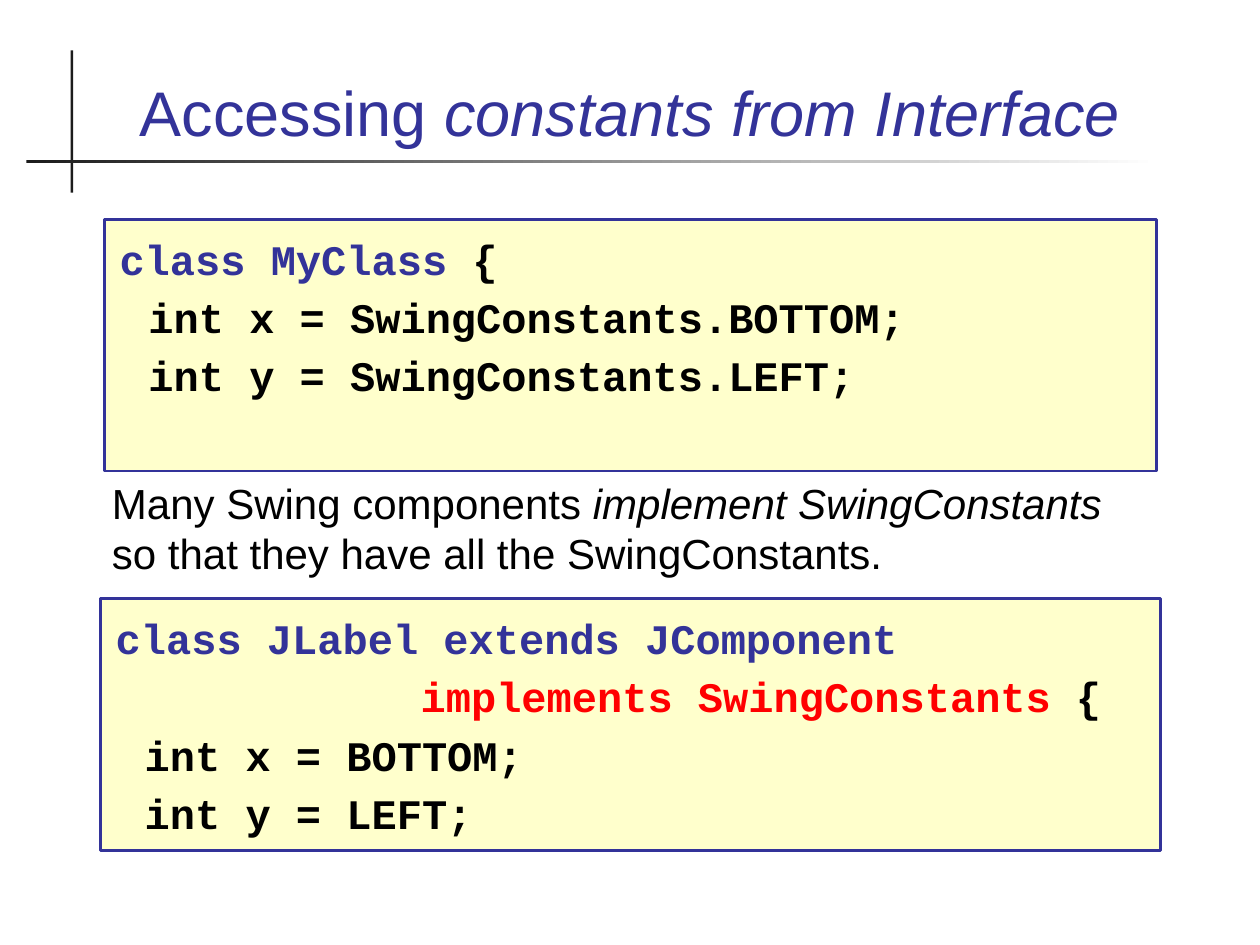
from pptx import Presentation
from pptx.dml.color import RGBColor
from pptx.enum.shapes import MSO_SHAPE as Shape
from pptx.enum.text import MSO_ANCHOR as Anchor, PP_ALIGN as Align
from pptx.util import Inches, Pt

COLORS = {
    "navy": "333399",
    "cream": "FFFFCC",
    "rule": "1C1C1C",
    "white": "FFFFFF",
    "black": "000000",
    "red": "FF0000",
}
CODE_INDENT = 0.25


def rgb(name):
    return RGBColor.from_string(COLORS[name])


class SlideBuilder:
    body_font = "Arial"
    code_font = "Courier New"
    text_size = 24
    title_size = 36
    code_gap = 4.6

    def __init__(self, slide):
        self.slide = slide

    def add_rect(self, left, top, width, height):
        rect = self.slide.shapes.add_shape(
            Shape.RECTANGLE, Inches(left), Inches(top), Inches(width), Inches(height))
        rect.shadow.inherit = False
        return rect

    def add_rule(self, left, top, width, height, fades=False):
        rule = self.add_rect(left, top, width, height)
        rule.line.fill.background()
        if fades:
            rule.fill.gradient()
            rule.fill.gradient_angle = 0
            for stop, name, position in zip(
                    rule.fill.gradient_stops, ("rule", "white"), (0, 1)):
                stop.color.rgb = rgb(name)
                stop.position = position
        else:
            rule.fill.solid()
            rule.fill.fore_color.rgb = rgb("rule")

    def add_run(self, paragraph, text, color, font, size, bold=False, italic=False):
        run = paragraph.add_run()
        run.text = text
        run.font.name = font
        run.font.size = Pt(size)
        run.font.bold = bold
        run.font.italic = italic
        run.font.color.rgb = rgb(color)

    def add_text(self, left, top, width, height, runs, color, size,
                 align=Align.LEFT, anchor=Anchor.TOP, line_spacing=None):
        """Runs are (text, italic) pairs in one paragraph."""
        frame = self.slide.shapes.add_textbox(
            Inches(left), Inches(top), Inches(width), Inches(height)).text_frame
        frame.word_wrap = True
        frame.vertical_anchor = anchor
        paragraph = frame.paragraphs[0]
        paragraph.alignment = align
        if line_spacing:
            paragraph.line_spacing = Pt(line_spacing)
        for text, italic in runs:
            self.add_run(paragraph, text, color, self.body_font, size, italic=italic)

    def add_code(self, left, top, width, height, lines):
        """Lines are (indent, runs); runs are (text, color) pairs."""
        box = self.add_rect(left, top, width, height)
        box.fill.solid()
        box.fill.fore_color.rgb = rgb("cream")
        box.line.color.rgb = rgb("navy")
        box.line.width = Pt(1.5)
        frame = box.text_frame
        frame.word_wrap = True
        frame.vertical_anchor = Anchor.TOP
        frame.margin_top = Inches(0.11)
        for number, (indent, runs) in enumerate(lines):
            paragraph = frame.add_paragraph() if number else frame.paragraphs[0]
            paragraph.alignment = Align.LEFT
            if number:
                paragraph.space_before = Pt(self.code_gap)
            paragraph._p.get_or_add_pPr().set("marL", str(Inches(indent)))
            for text, color in runs:
                self.add_run(paragraph, text, color, self.code_font,
                             self.text_size, bold=True)


def main():
    deck = Presentation()
    deck.slide_width, deck.slide_height = Inches(10), Inches(7.5)
    page = SlideBuilder(deck.slides.add_slide(deck.slide_layouts[6]))

    # Crossed rules beside the title
    page.add_rule(0.56, 0.4, 0.02, 1.13)
    page.add_rule(0.21, 1.27, 8.98, 0.02, fades=True)

    # Title
    page.add_text(0.67, 0.28, 8.66, 0.95,
                  [("Accessing", False), (" constants from Interface", True)],
                  "navy", page.title_size, Align.CENTER, Anchor.BOTTOM)

    # Constants reached through the interface name
    page.add_code(0.83, 1.74, 8.35, 2, [
        (0.02, [("class MyClass", "navy"), (" {", "black")]),
        (CODE_INDENT, [("int x = SwingConstants.BOTTOM;", "black")]),
        (CODE_INDENT, [("int y = SwingConstants.LEFT;", "black")]),
    ])

    # Constants inherited by implementing the interface
    page.add_code(0.8, 4.75, 8.41, 2, [
        (0.02, [("class JLabel extends JComponent", "navy")]),
        (2.44, [("implements SwingConstants", "red"), (" {", "black")]),
        (CODE_INDENT, [("int x = BOTTOM;", "black")]),
        (CODE_INDENT, [("int y = LEFT;", "black")]),
    ])

    # Explanation between the listings
    page.add_text(0.79, 3.74, 8.42, 0.9,
                  [("Many Swing components ", False),
                   ("implement SwingConstants", True),
                   (" so that they have all the SwingConstants.", False)],
                  "black", page.text_size, line_spacing=28.6)

    deck.save("out.pptx")


if __name__ == "__main__":
    main()
